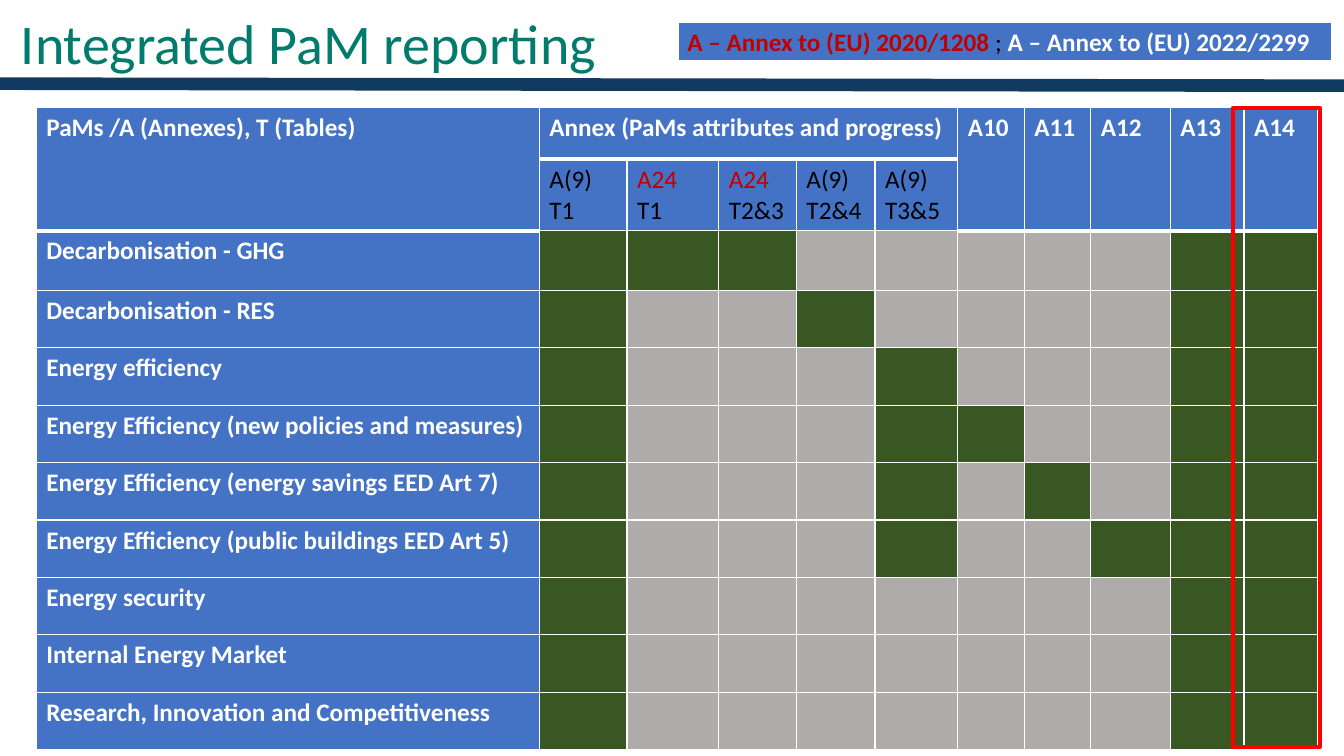
from lxml import etree
from pptx import Presentation
from pptx.dml.color import RGBColor
from pptx.enum.shapes import MSO_CONNECTOR, MSO_SHAPE
from pptx.enum.text import MSO_ANCHOR as ANCHOR, MSO_AUTO_SIZE as FIT, PP_ALIGN as ALIGN
from pptx.oxml.ns import qn
from pptx.util import Inches, Pt

WHITE = RGBColor(0xFF, 0xFF, 0xFF)
BLACK = RGBColor(0, 0, 0)
RED = RGBColor(0xFF, 0, 0)
DARK_RED = RGBColor(0xC0, 0, 0)
NAVY = RGBColor(0x11, 0x3A, 0x60)
TEAL = RGBColor(0, 0x7B, 0x6C)
BLUE = RGBColor(0x44, 0x72, 0xC4)
GREEN = RGBColor(0x38, 0x57, 0x23)
GREY = RGBColor(0xAF, 0xAB, 0xAB)

WIDTH, HEIGHT = 13.33, 7.5
LEFT, TOP = 0.36, 1.07
COLS = [4.99, 0.87, 0.91, 0.77, 0.78, 0.82, 0.66, 0.66, 0.79, 0.73, 0.73]
ROWS = [0.51, 0.7, 0.59] + [0.57] * 8
MARKER_WIDTH = 0.86

HEADINGS = {0: "PaMs /A (Annexes), T (Tables)", 1: "Annex (PaMs attributes and progress)",
            6: "A10", 7: "A11", 8: "A12", 9: "A13", 10: "A14"}
SUBHEADINGS = [("A(9)", "T1"), ("A24", "T1"), ("A24", "T2&3"), ("A(9)", "T2&4"), ("A(9)", "T3&5")]
ALWAYS_REPORTED = {1, 9, 10}
# Each policy area with the further columns it reports in
POLICIES = [
    ("Decarbonisation - GHG", {2, 3}),
    ("Decarbonisation - RES", {4}),
    ("Energy efficiency", {5}),
    ("Energy Efficiency (new policies and measures)", {5, 6}),
    ("Energy Efficiency (energy savings EED Art 7)", {5, 7}),
    ("Energy Efficiency (public buildings EED Art 5)", {5, 8}),
    ("Energy security", set()),
    ("Internal Energy Market", set()),
    ("Research, Innovation and Competitiveness", set()),
]


def box(left, top, width, height):
    return Inches(left), Inches(top), Inches(width), Inches(height)


def add_text(p, text, size=18, color=WHITE, bold=False):
    r = p.add_run()
    r.text = text
    r.font.name = "Calibri"
    r.font.size = Pt(size)
    r.font.bold = bold
    r.font.color.rgb = color


def add_rect(slide, bounds, line_color, line_width, fill=None):
    sp = slide.shapes.add_shape(MSO_SHAPE.RECTANGLE, *bounds)
    sp.shadow.inherit = False
    if fill is None:
        sp.fill.background()
    else:
        sp.fill.solid()
        sp.fill.fore_color.rgb = fill
    sp.line.color.rgb = line_color
    sp.line.width = Pt(line_width)
    return sp


def style_cell(cell, fill, bottom=1):
    """Give the cell white borders and a solid fill."""
    tcPr = cell._tc.get_or_add_tcPr()
    for side, width in (("L", 1), ("R", 1), ("T", 1), ("B", bottom)):
        ln = etree.SubElement(tcPr, qn(f"a:ln{side}"), w=str(Pt(width)))
        solid = etree.SubElement(ln, qn("a:solidFill"))
        etree.SubElement(solid, qn("a:srgbClr"), val=str(WHITE))
    cell.fill.solid()
    cell.fill.fore_color.rgb = fill


def add_divider(slide):
    line = slide.shapes.add_connector(MSO_CONNECTOR.STRAIGHT, 0, Inches(0.83),
                                      Inches(WIDTH), Inches(0.85))
    line.line.color.rgb = NAVY
    line.line.width = Pt(9)
    etree.SubElement(line._element.spPr, qn("a:effectLst"))


def fill_header(table):
    for col in range(len(COLS)):
        under_annex = 1 <= col <= 5
        style_cell(table.cell(0, col), BLUE, bottom=3)
        style_cell(table.cell(1, col), BLUE, bottom=1 if under_annex else 3)
        if not under_annex:
            table.cell(0, col).merge(table.cell(1, col))
    table.cell(0, 1).merge(table.cell(0, 5))
    for col, heading in HEADINGS.items():
        add_text(table.cell(0, col).text_frame.paragraphs[0], heading, bold=True)
    for col, (annex, tables) in enumerate(SUBHEADINGS, start=1):
        tf = table.cell(1, col).text_frame
        color = DARK_RED if annex == "A24" else BLACK
        add_text(tf.paragraphs[0], annex, color=color)
        add_text(tf.add_paragraph(), tables, color=BLACK)


def fill_policies(table):
    for row, (policy, extra) in enumerate(POLICIES, start=2):
        style_cell(table.cell(row, 0), BLUE)
        add_text(table.cell(row, 0).text_frame.paragraphs[0], policy, bold=True)
        for col in range(1, len(COLS)):
            style_cell(table.cell(row, col), GREEN if col in ALWAYS_REPORTED | extra else GREY)


def add_reporting_table(slide):
    bounds = box(LEFT, TOP, sum(COLS), sum(ROWS))
    table = slide.shapes.add_table(len(ROWS), len(COLS), *bounds).table
    for column, width in zip(table.columns, COLS):
        column.width = Inches(width)
    for row, height in zip(table.rows, ROWS):
        row.height = Inches(height)
    fill_header(table)
    fill_policies(table)


def add_legend(slide):
    sp = add_rect(slide, box(6.72, 0.21, 6.5, 0.4), WHITE, 2.25, fill=BLUE)
    tf = sp.text_frame
    tf.word_wrap = False
    tf.auto_size = FIT.SHAPE_TO_FIT_TEXT
    tf.vertical_anchor = ANCHOR.TOP
    p = tf.paragraphs[0]
    p.alignment = ALIGN.LEFT
    add_text(p, "A – Annex to (EU) 2020/1208 ", color=DARK_RED, bold=True)
    add_text(p, "; ", color=BLACK)
    add_text(p, "A – Annex to (EU) 2022/2299", bold=True)


def add_title(slide):
    tf = slide.shapes.add_textbox(*box(0.11, 0.1, 12.72, 0.71)).text_frame
    tf.word_wrap = True
    tf.vertical_anchor = ANCHOR.MIDDLE
    p = tf.paragraphs[0]
    p.line_spacing = 0.9
    add_text(p, "Integrated PaM reporting", size=40, color=TEAL)


def main():
    prs = Presentation()
    prs.slide_width, prs.slide_height = Inches(WIDTH), Inches(HEIGHT)
    slide = prs.slides.add_slide(prs.slide_layouts[6])
    add_divider(slide)
    add_reporting_table(slide)
    add_legend(slide)
    marker_left = LEFT + sum(COLS) - MARKER_WIDTH + 0.02
    add_rect(slide, box(marker_left, TOP, MARKER_WIDTH, sum(ROWS) - 0.02), RED, 3)
    add_title(slide)
    prs.save("out.pptx")


if __name__ == "__main__":
    main()
